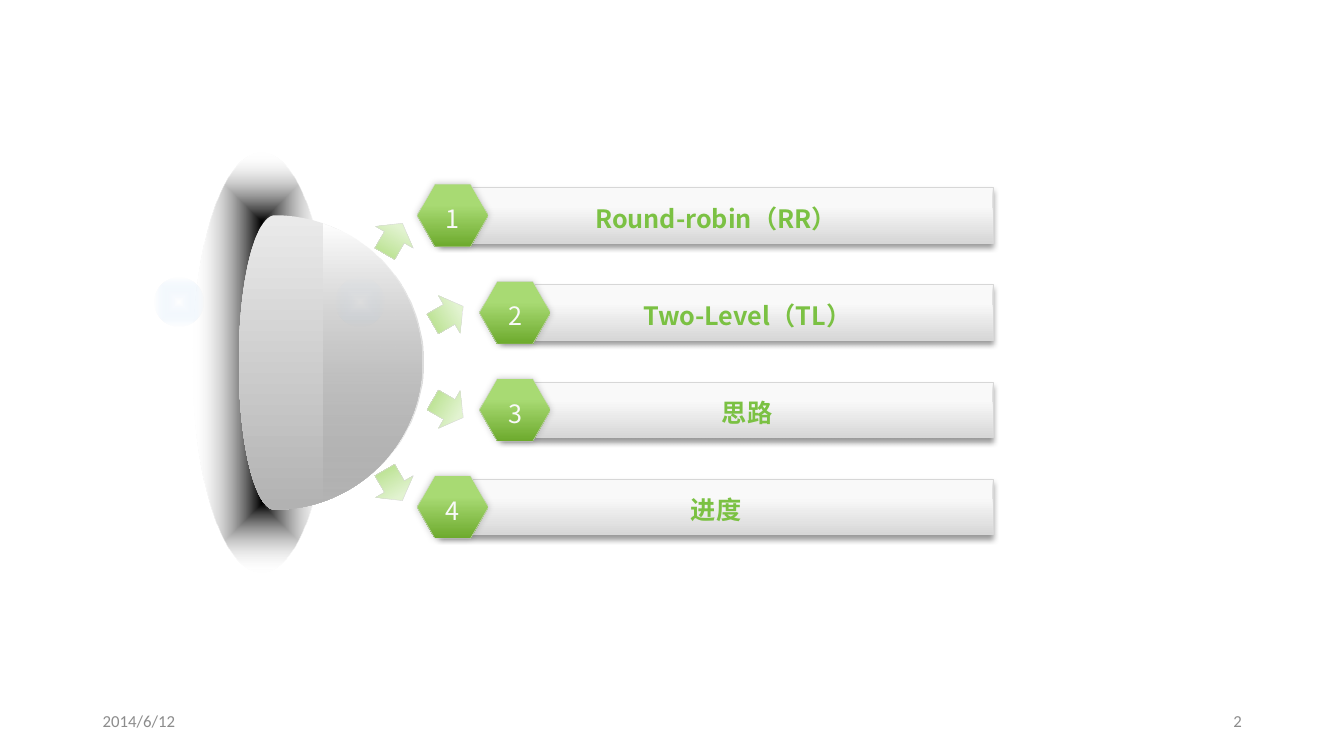
import math

import lxml.etree
import pptx
import pptx.dml.color
import pptx.enum.shapes
import pptx.enum.text
import pptx.oxml.ns
import pptx.util

Cm = pptx.util.Cm
Pt = pptx.util.Pt
SHAPES = pptx.enum.shapes.MSO_SHAPE
ALIGN = pptx.enum.text.PP_ALIGN

COLORS = {
    "white": "FFFFFF", "black": "000000", "glow": "67ABF5",
    "dome_light": "EAEAEA", "dome_dark": "B2B2B2", "cap_dark": "767676",
    "silver": "F9F9F9", "grey": "D7D7D7", "footer": "8C8C8C",
    "pale_green": "E2F3D0", "light_green": "A8DA73",
    "dark_green": "6DAA2D", "text_green": "7BC143",
}
HEADING_FONT = "Noto Sans CJK SC"
FOOTER_FONT = "Calibri"
TOPICS = ["Round-robin（RR）", "Two-Level（TL）", "思路", "进度"]


def rgb(name):
    """Return the named colour."""
    return pptx.dml.color.RGBColor.from_string(COLORS[name])


def add_element(parent, tag, **attributes):
    """Append a DrawingML element with the given attributes."""
    element = lxml.etree.SubElement(parent, pptx.oxml.ns.qn("a:" + tag))
    for key, value in attributes.items():
        element.set(key, str(value))
    return element


def add_color(parent, name, opacity=100):
    """Append a colour with an opacity in percent."""
    color = add_element(parent, "srgbClr", val=COLORS[name])
    if opacity < 100:
        add_element(color, "alpha", val=opacity * 1000)


def paint(shape, stops, radial=False, outline=None):
    """Fill with (percent, colour, opacity) stops, downward or from the centre."""
    shape.shadow.inherit = False
    shape.fill.gradient()
    gradient = shape._element.spPr.find(pptx.oxml.ns.qn("a:gradFill"))
    for child in list(gradient):
        gradient.remove(child)
    gradient.set("rotWithShape", "1")
    stop_list = add_element(gradient, "gsLst")
    for position, name, opacity in stops:
        add_color(add_element(stop_list, "gs", pos=position * 1000), name, opacity)
    if radial:
        center = add_element(gradient, "path", path="shape")
        add_element(center, "fillToRect", l=50000, t=50000, r=50000, b=50000)
    else:
        add_element(gradient, "lin", ang=90 * 60000, scaled=0)
    if outline:
        shape.line.color.rgb = rgb(outline)
        shape.line.width = Pt(0.25)
    else:
        shape.line.fill.background()


def cast_shadow(shape, opacity, blur, distance):
    """Give the shape a soft black shadow below it."""
    effects = shape._element.spPr.find(pptx.oxml.ns.qn("a:effectLst"))
    shadow = add_element(effects, "outerShdw", blurRad=Pt(blur), dist=Pt(distance),
                         dir=90 * 60000, algn="ctr", rotWithShape=0)
    add_color(shadow, "black", opacity)


def write(shape, text, size, font, color, align, bold=False, spacing=None):
    """Write one vertically centred line of text."""
    frame = shape.text_frame
    frame.word_wrap = True
    frame.vertical_anchor = pptx.enum.text.MSO_ANCHOR.MIDDLE
    paragraph = frame.paragraphs[0]
    paragraph.alignment = align
    paragraph.line_spacing = spacing
    run = paragraph.add_run()
    run.text = text
    run.font.size = Pt(size)
    run.font.bold = bold
    run.font.name = font
    run.font.color.rgb = rgb(color)
    add_element(run.font._element, "ea", typeface=font)


def add_centered(slide, kind, x, y, width, height, rotation):
    """Add a rotated preset shape around a centre point."""
    shape = slide.shapes.add_shape(kind, Cm(x - width / 2), Cm(y - height / 2),
                                   Cm(width), Cm(height))
    shape.rotation = rotation
    return shape


def arc(x, y, radius_x, radius_y, start, end):
    """Return points along an elliptical arc, angles in degrees."""
    angles = [math.radians(start + (end - start) * step / 48) for step in range(49)]
    return [(Cm(x + radius_x * math.cos(a)), Cm(y + radius_y * math.sin(a)))
            for a in angles]


def add_outline(slide, points):
    """Add a closed freeform through the points."""
    builder = slide.shapes.build_freeform(*points[0])
    builder.add_line_segments(points[1:], close=True)
    return builder.convert_to_shape()


def add_dome(slide, left, top, width, height):
    """Draw the grey dome with its dark halo, glows and highlight."""
    middle = top + height / 2
    rim = left + 3.04

    def add_glow(x, opacity):
        """Add a faint round glow."""
        glow = add_centered(slide, SHAPES.OVAL, x, middle - 1.52, 1.24, 1.24, 90)
        paint(glow, [(0, "white", opacity), (100, "glow", 0)], radial=True)

    halo = add_centered(slide, SHAPES.OVAL, left + 2.7, middle, height, 3.48, 90)
    paint(halo, [(0, "black", 100), (100, "white", 0)], radial=True)
    add_glow(left + 0.62, 30)
    radius = width - 3.04
    dome = add_outline(slide, arc(rim, middle, radius, radius, -90, 90)
                       + arc(rim, middle, 0.91, radius, 90, 270))
    paint(dome, [(0, "dome_light", 100), (100, "dome_dark", 100)])
    add_glow(left + 5.19, 50)
    cap = add_outline(slide, arc(rim + 0.05, middle, 3.68, 3.68, -71.5, 71.5))
    paint(cap, [(0, "white", 100), (100, "cap_dark", 0)])


def add_arrows(slide, left, top, width, height):
    """Fan four arrows out of the dome, mirrored about the middle."""
    middle = top + height / 2
    for x, offset, angle in [(left + width, 1.18, 60), (left, height / 2, 30)]:
        for side, rotation in [(-1, angle), (1, 180 - angle)]:
            arrow = add_centered(slide, SHAPES.UP_ARROW, x, middle + side * offset,
                                 1.09, 0.89, rotation)
            arrow.adjustments[0] = 0.528
            arrow.adjustments[1] = 0.459
            paint(arrow, [(33, "pale_green", 100), (100, "light_green", 100)],
                  outline="grey")


def add_topic(slide, number, topic, left, top, width, height):
    """Draw one topic bar with its numbered hexagon."""
    bar = slide.shapes.add_shape(SHAPES.RECTANGLE, Cm(left), Cm(top),
                                 Cm(width), Cm(height))
    paint(bar, [(33, "silver", 100), (100, "grey", 100)], outline="grey")
    cast_shadow(bar, 40, 4, 3)
    write(bar, topic, 18, HEADING_FONT, "text_green", ALIGN.CENTER, True, 1.2)

    badge = slide.shapes.add_shape(SHAPES.HEXAGON, Cm(left - 0.56), Cm(top - 0.08),
                                   Cm(1.8), Cm(1.58))
    badge.adjustments[0] = 0.287
    paint(badge, [(33, "light_green", 100), (100, "dark_green", 100)], outline="grey")
    cast_shadow(badge, 20, 5, 0)
    frame = badge.text_frame
    frame.margin_left = frame.margin_right = frame.margin_top = frame.margin_bottom = 0
    write(badge, str(number), 18, HEADING_FONT, "silver", ALIGN.CENTER, spacing=1.2)


def add_agenda(slide, left, top, width, height):
    """Stack the topic bars, with the inner ones indented."""
    bar_height = 1.4
    pitch = (height - bar_height) / (len(TOPICS) - 1)
    for index, topic in enumerate(TOPICS):
        indent = 1.57 if 0 < index < len(TOPICS) - 1 else 0
        add_topic(slide, index + 1, topic, left + indent, top + index * pitch,
                  width - indent, bar_height)


def add_footer(slide, left, top, width, height):
    """Write the date on the left and the page number on the right."""
    box_width = 7.62
    for text, x, align in [("2014/6/12", left, ALIGN.LEFT),
                           ("2", left + width - box_width, ALIGN.RIGHT)]:
        box = slide.shapes.add_textbox(Cm(x), Cm(top), Cm(box_width), Cm(height))
        write(box, text, 12, FOOTER_FONT, "footer", align)


presentation = pptx.Presentation()
presentation.slide_width = Cm(33.87)
presentation.slide_height = Cm(19.05)
slide = presentation.slides.add_slide(presentation.slide_layouts[6])
add_footer(slide, 2.34, 17.65, 29.21, 1.02)
add_dome(slide, 3.89, 3.84, 6.75, 10.59)
add_arrows(slide, 9.92, 6.01, 1.37, 6.22)
add_agenda(slide, 11.07, 4.72, 13.95, 8.75)
presentation.save("out.pptx")
